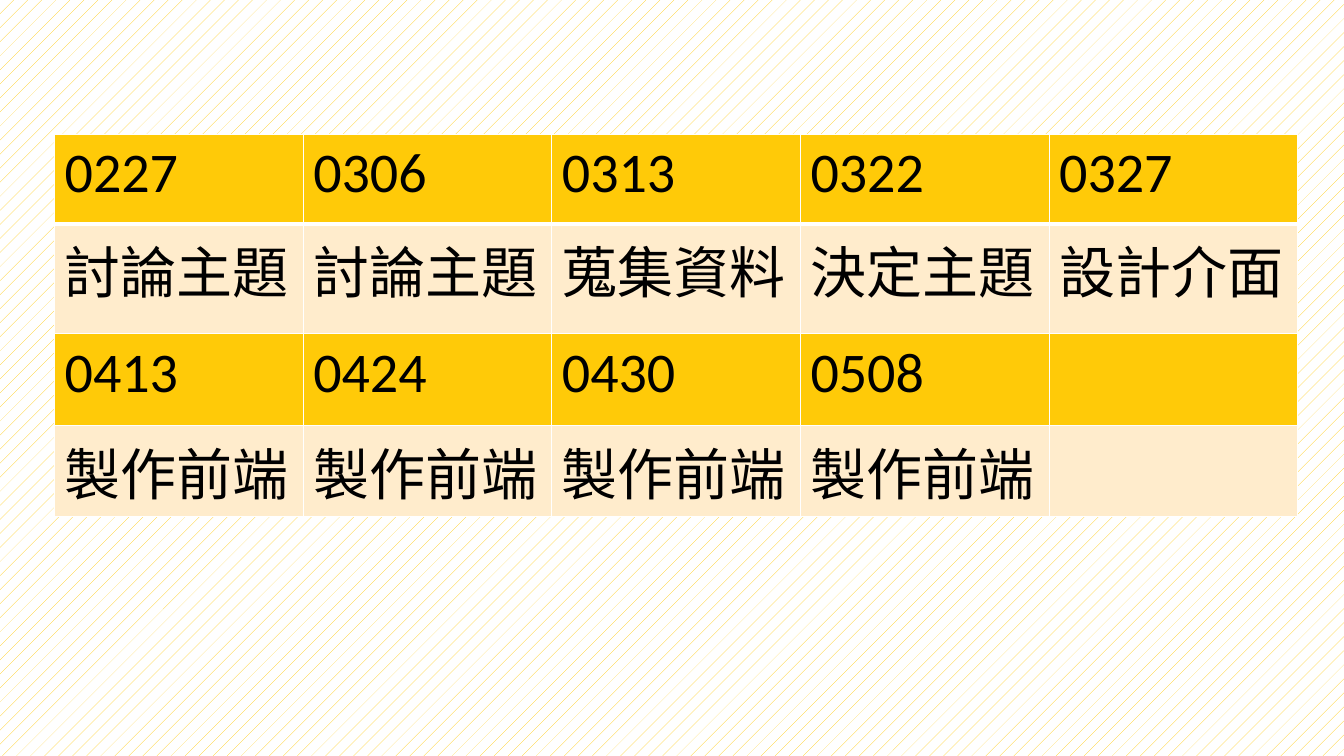
from pptx import Presentation
from pptx.dml.color import RGBColor
from pptx.enum import dml
from pptx.oxml import parse_xml
from pptx.oxml.ns import nsdecls
from pptx.util import Pt

GOLD = RGBColor(0xFF, 0xCA, 0x08)
CREAM = RGBColor(0xFF, 0xEC, 0xCC)
WHITE = RGBColor(0xFF, 0xFF, 0xFF)
BLACK = RGBColor(0, 0, 0)

SCHEDULE = [
    ["0227", "0306", "0313", "0322", "0327"],
    ["討論主題", "討論主題", "蒐集資料", "決定主題", "設計介面"],
    ["0413", "0424", "0430", "0508", ""],
    ["製作前端", "製作前端", "製作前端", "製作前端", ""],
]
ROW_HEIGHTS = [64, 78.5, 65.5, 64]
COLUMN_WIDTH = 177.6


def add_border(cell, side, width):
    cell._tc.get_or_add_tcPr().append(parse_xml(
        f'<a:{side} {nsdecls("a")} w="{Pt(width)}"><a:solidFill>'
        f'<a:srgbClr val="{WHITE}"/></a:solidFill></a:{side}>'))


presentation = Presentation()
presentation.slide_width = Pt(960)
presentation.slide_height = Pt(540)
slide = presentation.slides.add_slide(presentation.slide_layouts[6])

# Patterned background
background = slide.background.fill
background.patterned()
background.pattern = dml.MSO_PATTERN.PERCENT_5
background.fore_color.rgb = GOLD
background.back_color.rgb = WHITE

# Schedule table: date rows alternate with task rows
table = slide.shapes.add_table(
    len(SCHEDULE), len(SCHEDULE[0]), Pt(39), Pt(96),
    Pt(COLUMN_WIDTH * len(SCHEDULE[0])), Pt(sum(ROW_HEIGHTS))).table
table.first_row = False
table.horz_banding = False
for column in table.columns:
    column.width = Pt(COLUMN_WIDTH)

for row_index, entries in enumerate(SCHEDULE):
    table.rows[row_index].height = Pt(ROW_HEIGHTS[row_index])
    for column_index, entry in enumerate(entries):
        cell = table.cell(row_index, column_index)

        # Thin white grid, with a heavier rule below the first row
        add_border(cell, "lnL", 1)
        add_border(cell, "lnR", 1)
        add_border(cell, "lnT", 3 if row_index == 1 else 1)
        add_border(cell, "lnB", 3 if row_index == 0 else 1)
        cell.fill.solid()
        cell.fill.fore_color.rgb = CREAM if row_index % 2 else GOLD

        paragraph = cell.text_frame.paragraphs[0]
        paragraph.text = entry
        for run in paragraph.runs:
            run.font.name = "Calibri"
            run.font.size = Pt(40)
            run.font.color.rgb = BLACK

presentation.save("out.pptx")
